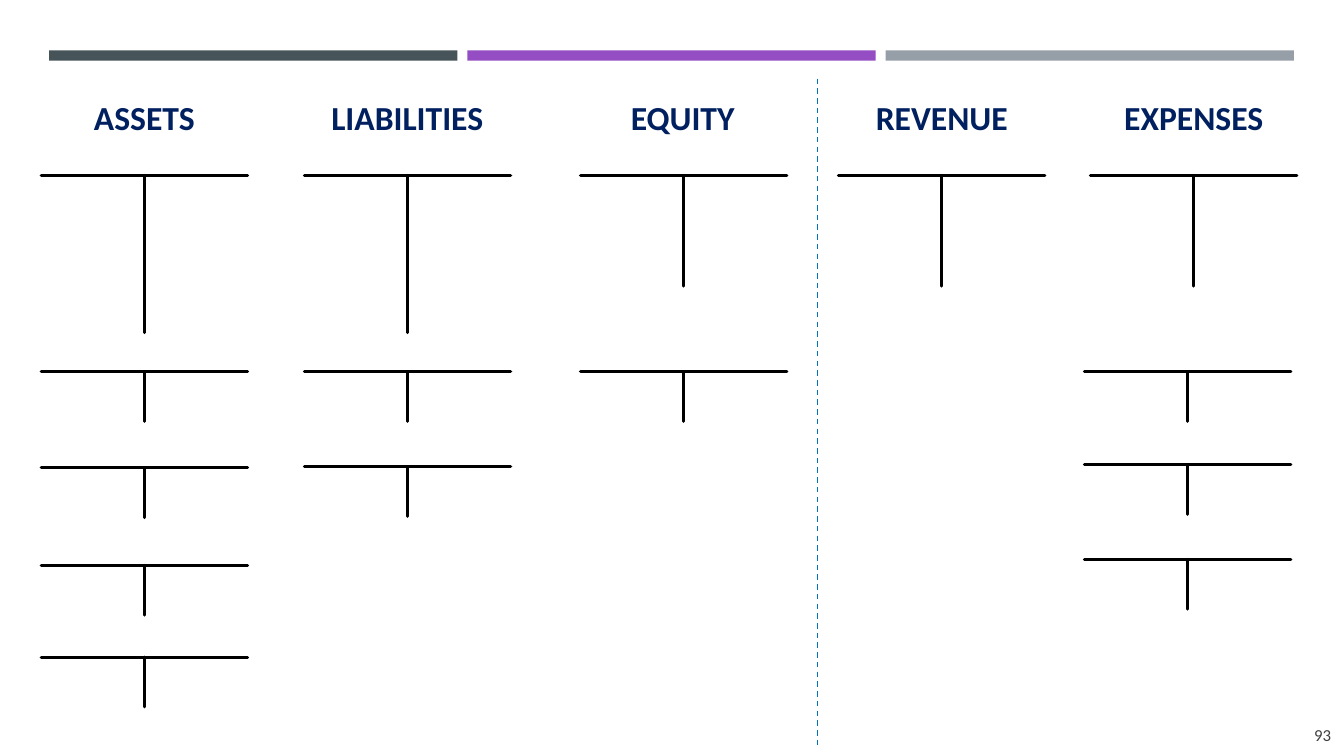
from dataclasses import dataclass

from lxml import etree
from pptx import Presentation
from pptx.dml.color import RGBColor
from pptx.enum.dml import MSO_LINE
from pptx.enum.shapes import MSO_CONNECTOR, MSO_SHAPE
from pptx.enum.text import MSO_ANCHOR, MSO_AUTO_SIZE, PP_ALIGN
from pptx.oxml.ns import qn
from pptx.util import Cm, Pt

STRAIGHT = MSO_CONNECTOR.STRAIGHT
RECTANGLE = MSO_SHAPE.RECTANGLE
DASH = MSO_LINE.DASH
CENTER, RIGHT = PP_ALIGN.CENTER, PP_ALIGN.RIGHT
TOP, MIDDLE = MSO_ANCHOR.TOP, MSO_ANCHOR.MIDDLE
FIT_SHAPE = MSO_AUTO_SIZE.SHAPE_TO_FIT_TEXT


@dataclass(frozen=True)
class Theme:
    font: str = "Calibri"
    heading: str = "002060"
    account: str = "000000"
    divider: str = "0070C0"
    number: str = "404040"
    bars: tuple = ("465359", "944DC3", "969FA7")
    heading_size: float = 24
    number_size: float = 12
    account_line: float = 2.25
    divider_line: float = 1


THEME = Theme()

# All lengths are in centimetres.
LONG, MEDIUM, SHORT = 3.96, 2.79, 1.25
FIRST_ROW, SECOND_ROW = 4.42, 9.37

# Heading, its left and width, then T-accounts as (left, top, stem)
CATEGORIES = [
    ("ASSETS", 1.8, 3.68, [
        (1.04, FIRST_ROW, LONG), (1.04, SECOND_ROW, SHORT),
        (1.04, 11.79, SHORT), (1.04, 14.25, SHORT), (1.04, 16.56, SHORT)]),
    ("LIABILITIES", 7.7, 5.13, [
        (7.67, FIRST_ROW, LONG), (7.67, SECOND_ROW, SHORT),
        (7.67, 11.76, SHORT)]),
    ("EQUITY", 15.49, 3.43, [
        (14.63, FIRST_ROW, MEDIUM), (14.63, SECOND_ROW, SHORT)]),
    ("REVENUE", 21.54, 4.39, [(21.13, FIRST_ROW, MEDIUM)]),
    ("EXPENSES", 27.66, 4.85, [
        (27.48, FIRST_ROW, MEDIUM), (27.33, SECOND_ROW, SHORT),
        (27.33, 11.71, SHORT), (27.33, 14.1, SHORT)]),
]
PAGE_NUMBER = "93"

ACCOUNT_WIDTH = 5.2
HEADING_TOP, HEADING_HEIGHT = 2.31, 1.27
BAR_LEFT, BAR_TOP, BAR_WIDTH, BAR_HEIGHT, BAR_GAP = 1.24, 1.27, 10.29, 0.26, 0.25
DIVIDER_X, DIVIDER_TOP, DIVIDER_BOTTOM = 20.6, 1.98, 18.85
INSET = 0.13


def add_text(slide, text, left, top, width, height, *, size, color,
             bold=False, align=CENTER, anchor=TOP):
    box = slide.shapes.add_textbox(Cm(left), Cm(top), Cm(width), Cm(height))
    frame = box.text_frame
    frame.word_wrap = False
    frame.auto_size = FIT_SHAPE
    frame.vertical_anchor = anchor
    frame.margin_left = frame.margin_right = Cm(INSET)
    frame.margin_top = frame.margin_bottom = Cm(INSET)
    paragraph = frame.paragraphs[0]
    paragraph.alignment = align
    run = paragraph.add_run()
    run.text = text
    run.font.name = THEME.font
    run.font.size = Pt(size)
    run.font.bold = bold
    run.font.color.rgb = RGBColor.from_string(color)


def add_line(shapes, x1, y1, x2, y2, color, weight, dash=None):
    connector = shapes.add_connector(STRAIGHT, Cm(x1), Cm(y1), Cm(x2), Cm(y2))
    connector.line.color.rgb = RGBColor.from_string(color)
    connector.line.width = Pt(weight)
    if dash is not None:
        connector.line.dash_style = dash
    else:
        connector.line._get_or_add_ln().set("cap", "rnd")
    etree.SubElement(connector._element.spPr, qn("a:effectLst"))


def add_account(slide, left, top, stem):
    """Draw one T-account: a top rule and a stem down from its middle."""
    account = slide.shapes.add_group_shape()
    middle = left + ACCOUNT_WIDTH / 2
    for ends in ((left, top, left + ACCOUNT_WIDTH, top),
                 (middle, top + stem, middle, top)):
        add_line(account.shapes, *ends, THEME.account, THEME.account_line)


def add_bars(slide):
    for index, color in enumerate(THEME.bars):
        left = BAR_LEFT + index * (BAR_WIDTH + BAR_GAP)
        bar = slide.shapes.add_shape(RECTANGLE, Cm(left), Cm(BAR_TOP),
                                     Cm(BAR_WIDTH), Cm(BAR_HEIGHT))
        bar.shadow.inherit = False
        bar.fill.solid()
        bar.fill.fore_color.rgb = RGBColor.from_string(color)
        bar.line.fill.background()


def main():
    presentation = Presentation()
    presentation.slide_width, presentation.slide_height = Cm(33.87), Cm(19.05)
    slide = presentation.slides.add_slide(presentation.slide_layouts[6])

    add_bars(slide)
    add_line(slide.shapes, DIVIDER_X, DIVIDER_TOP, DIVIDER_X, DIVIDER_BOTTOM,
             THEME.divider, THEME.divider_line, DASH)
    for heading, left, width, accounts in CATEGORIES:
        add_text(slide, heading, left, HEADING_TOP, width, HEADING_HEIGHT,
                 size=THEME.heading_size, color=THEME.heading, bold=True)
        for account in accounts:
            add_account(slide, *account)
    add_text(slide, PAGE_NUMBER, 32.92, 18.14, 0.76, 0.74,
             size=THEME.number_size, color=THEME.number,
             align=RIGHT, anchor=MIDDLE)

    presentation.save("out.pptx")


if __name__ == "__main__":
    main()
